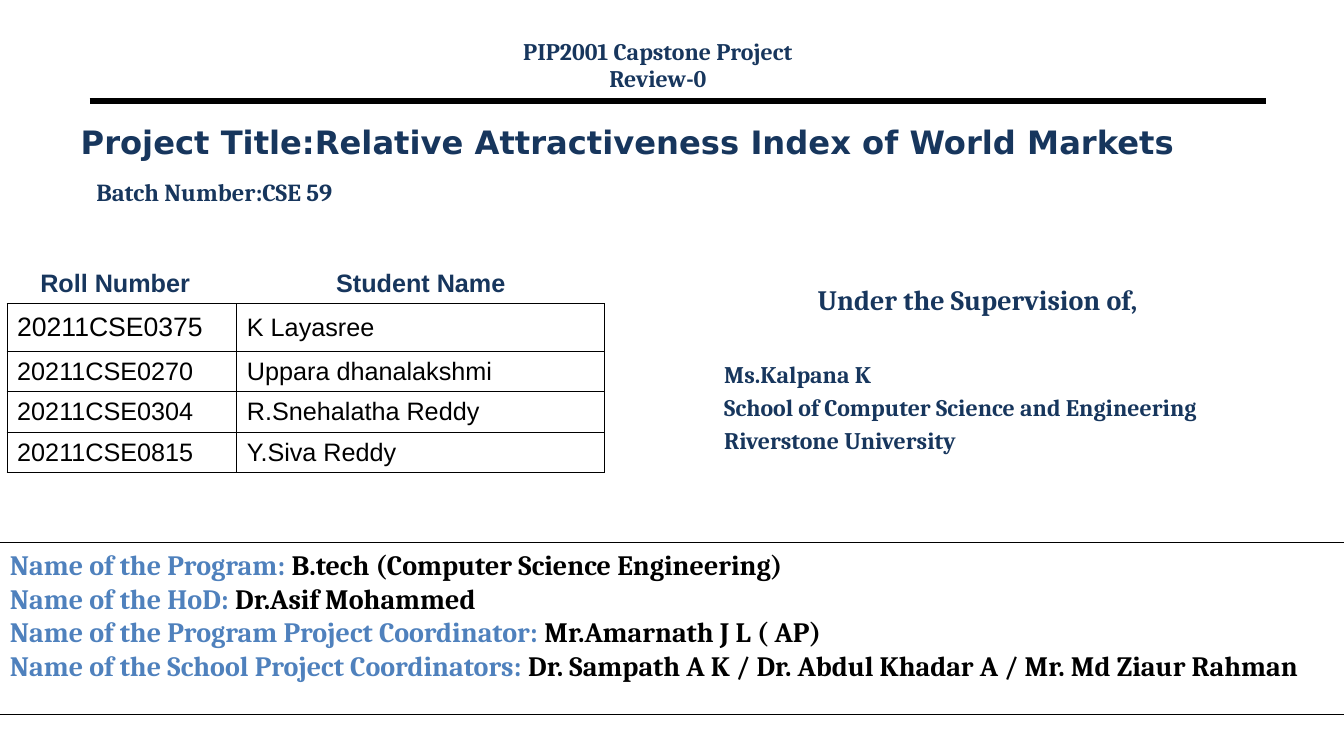
from dataclasses import dataclass

from lxml import etree
from pptx import Presentation
from pptx import util as u
from pptx.dml.color import RGBColor
from pptx.enum import shapes, text
from pptx.oxml.ns import qn


@dataclass(frozen=True)
class Theme:
    navy = RGBColor(0x17, 0x36, 0x5D)
    blue = RGBColor(0x4F, 0x81, 0xBD)
    black = RGBColor(0, 0, 0)
    serif = "Cambria"
    sans = "Arial"
    display = "DejaVu Sans"
    title = 23
    label = 20
    roll = 19
    table = 18
    batch = 17.5
    body = 17
    rule = 4.5
    hairline = 0.75


@dataclass(frozen=True)
class Box:
    left: float
    top: float
    width: float
    height: float

    def lengths(self):
        return [u.Cm(n) for n in (self.left, self.top, self.width, self.height)]


THEME = Theme()
CENTER = text.PP_ALIGN.CENTER
LEFT = text.PP_ALIGN.LEFT


def add_run(paragraph, words, size, color=THEME.navy, font=THEME.serif, bold=True):
    run = paragraph.add_run()
    run.text = words
    run.font.size = u.Pt(size)
    run.font.name = font
    run.font.bold = bold
    run.font.color.rgb = color


def add_line(frame, runs, align=LEFT, before=0, spacing=1.0):
    paragraph = frame.paragraphs[0]
    if paragraph.runs:
        paragraph = frame.add_paragraph()
    paragraph.alignment = align
    paragraph.space_before = u.Pt(before)
    paragraph.line_spacing = spacing
    for run in runs:
        add_run(paragraph, *run)


def text_frame(slide, box):
    frame = slide.shapes.add_textbox(*box.lengths()).text_frame
    frame.word_wrap = True
    return frame


def review_heading(slide, box):
    frame = text_frame(slide, box)
    add_line(frame, [("PIP2001 Capstone Project", THEME.body)], CENTER, spacing=0.8)
    add_line(frame, [("Review-0", THEME.body)], CENTER, before=3.1, spacing=0.8)


def heading_rule(slide, box):
    left, top, width, _ = box.lengths()
    rule = slide.shapes.add_connector(
        shapes.MSO_CONNECTOR.STRAIGHT, left, top, left + width, top)
    rule.line.color.rgb = THEME.black
    rule.line.width = u.Pt(THEME.rule)
    etree.SubElement(rule._element.spPr, qn("a:effectLst"))


def project_title(slide, box):
    title = slide.shapes.title
    title.left, title.top, title.width, title.height = box.lengths()
    frame = title.text_frame
    frame.auto_size = text.MSO_AUTO_SIZE.NONE
    frame.vertical_anchor = text.MSO_ANCHOR.MIDDLE
    words = "Project Title:Relative Attractiveness Index of World Markets"
    add_line(frame, [(words, THEME.title, THEME.navy, THEME.display)])


def batch_number(slide, box):
    add_line(text_frame(slide, box), [("Batch Number:CSE 59", THEME.batch)], spacing=0.8)


def set_borders(cell, drawn):
    properties = cell._tc.get_or_add_tcPr()
    for place, side in enumerate("LRTB"):
        border = etree.Element(qn(f"a:ln{side}"), w=str(u.Pt(THEME.hairline)))
        if side in drawn:
            fill = etree.SubElement(border, qn("a:solidFill"))
            etree.SubElement(fill, qn("a:srgbClr"), val=str(THEME.black))
        else:
            etree.SubElement(border, qn("a:noFill"))
        properties.insert(place, border)


def student_table(slide, box):
    students = [
        ("20211CSE0375", "K Layasree"),
        ("20211CSE0270", "Uppara dhanalakshmi"),
        ("20211CSE0304", "R.Snehalatha Reddy"),
        ("20211CSE0815", "Y.Siva Reddy"),
    ]
    rows = [("Roll Number", "Student Name"), *students, ("", "")]
    table = slide.shapes.add_table(len(rows), 2, *box.lengths()).table
    table.first_row = table.horz_banding = False
    roll_width = 5.79
    table.columns[0].width = u.Cm(roll_width)
    table.columns[1].width = u.Cm(box.width - roll_width)
    for r, row in enumerate(rows):
        table.rows[r].height = u.Cm(1.21 if r == 1 else 0.97)
        header = r == 0
        borders = "B" if header else "LRTB" if r <= len(students) else "T"
        for c, words in enumerate(row):
            cell = table.cell(r, c)
            cell.fill.background()
            set_borders(cell, borders)
            cell.vertical_anchor = text.MSO_ANCHOR.MIDDLE
            if words:
                size = THEME.roll if (r, c) == (1, 0) else THEME.table
                color = THEME.navy if header else THEME.black
                add_line(cell.text_frame, [(words, size, color, THEME.sans, header)],
                         CENTER if header else LEFT)
    table.cell(0, 0).margin_right = u.Cm(0.6)


def supervision(slide, box):
    frame = text_frame(slide, box)
    add_line(frame, [("Under the Supervision of,", THEME.label)], CENTER)
    for words, before in (
        ("Ms.Kalpana K", 31),
        ("School of Computer Science and Engineering", 3.4),
        ("Riverstone University", 3.4),
    ):
        add_line(frame, [(words, THEME.body)], before=before)


def program_details(slide, box):
    panel = slide.shapes.add_shape(shapes.MSO_SHAPE.RECTANGLE, *box.lengths())
    panel.shadow.inherit = False
    panel.fill.background()
    panel.line.color.rgb = THEME.black
    panel.line.width = u.Pt(THEME.hairline)
    frame = panel.text_frame
    frame.word_wrap = True
    frame.vertical_anchor = text.MSO_ANCHOR.TOP
    for role, name in (
        ("Program", "B.tech (Computer Science Engineering)"),
        ("HoD", "Dr.Asif Mohammed"),
        ("Program Project Coordinator", "Mr.Amarnath J L ( AP)"),
        ("School Project Coordinators",
         "Dr. Sampath A K / Dr. Abdul Khadar A / Mr. Md Ziaur Rahman"),
    ):
        add_line(frame, [(f"Name of the {role}: ", THEME.label, THEME.blue),
                         (name, THEME.label, THEME.black)])


def main():
    deck = Presentation()
    deck.slide_width, deck.slide_height = u.Cm(33.87), u.Cm(19.05)
    slide = deck.slides.add_slide(deck.slide_layouts[5])
    heading_rule(slide, Box(2.26, 2.54, 29.64, 0))
    project_title(slide, Box(1.78, 2.24, 28.78, 2.67))
    batch_number(slide, Box(2.18, 4.47, 11.02, 1.52))
    student_table(slide, Box(0.18, 6.63, 15.06, 6.06))
    supervision(slide, Box(18, 6.99, 13.28, 5.61))
    review_heading(slide, Box(11.07, 0.94, 11.02, 1.52))
    program_details(slide, Box(0, 13.67, 34.04, 4.34))
    deck.save("out.pptx")


if __name__ == "__main__":
    main()
